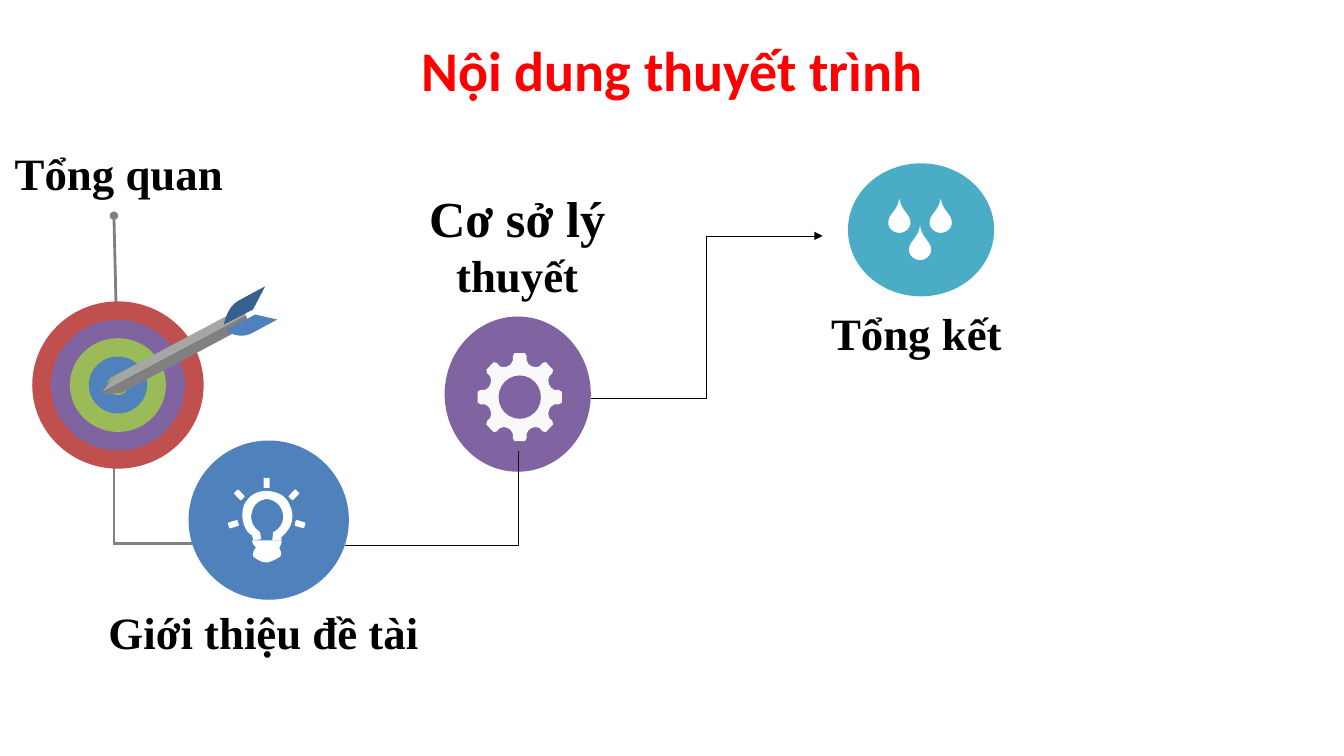
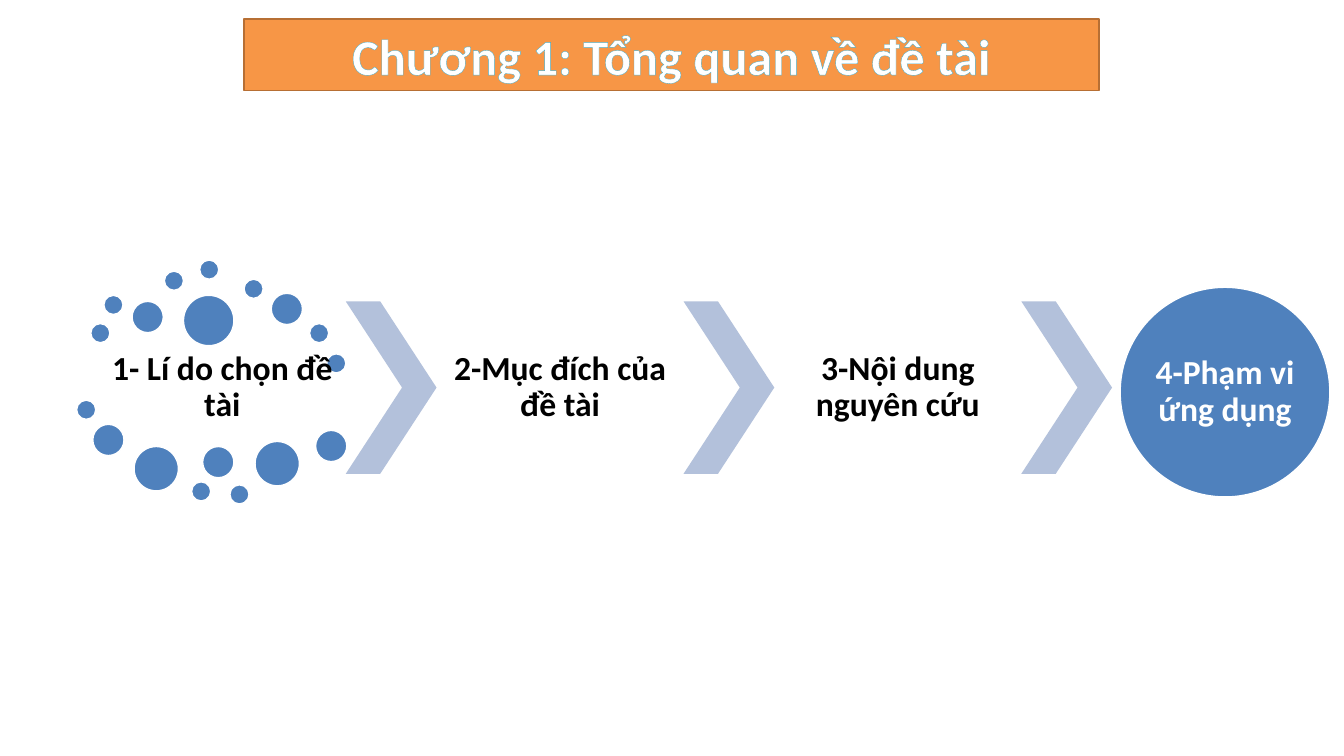
from math import cos, sin, radians

from lxml.etree import SubElement
from pptx import Presentation
from pptx.dml.color import RGBColor
from pptx.enum.shapes import MSO_CONNECTOR as Link, MSO_SHAPE as Form
from pptx.enum.text import MSO_ANCHOR as Anchor, MSO_AUTO_SIZE as Fit, PP_ALIGN as Align
from pptx.oxml.ns import qn
from pptx.util import Inches, Pt

COLORS = {
    "red": "FF0000", "black": "000000", "white": "FFFFFF", "pale": "F9F9FA",
    "brick": "C0504D", "plum": "8064A2", "green": "9BBB59", "blue": "4F81BD",
    "navy": "376092", "teal": "4BACC6", "orange": "F79646", "rust": "B76F34",
    "mist": "B3C1DB", "gray": "808080", "silver": "A6A6A6",
    "slate": "515D5D", "steel": "828286", "ink": "0D0D0D",
}
SERIF, SANS = "Times New Roman", "Calibri"


def rgb(name):
    return RGBColor.from_string(COLORS[name])


def place(box):
    return [Inches(v) for v in box]


def cell(box, grid, part):
    """Turn a part in grid units into inches within the box."""
    x, y, w, h = box
    dx, dy = w / grid[0], h / grid[1]
    return x + part[0] * dx, y + part[1] * dy, part[2] * dx, part[3] * dy


def paint(shape, fill, line=None):
    shape.shadow.inherit = False
    shape.fill.solid()
    shape.fill.fore_color.rgb = rgb(fill)
    if line:
        shape.line.color.rgb = rgb(line)
        shape.line.width = Pt(1)
    else:
        shape.line.fill.background()
    return shape


def draw(slide, form, box, fill, line=None):
    return paint(slide.shapes.add_shape(form, *place(box)), fill, line)


def trace(slide, box, grid, path, fill):
    """Draw a closed outline; a step holds one point or three Bézier points."""
    pts = [path[0]]
    for step in path[1:]:
        if len(step) == 2:
            pts.append(step)
            continue
        a, b, c, d = pts[-1], step[:2], step[2:4], step[4:]
        for i in range(1, 9):
            t = i / 8
            u = 1 - t
            pts.append([u**3 * a[k] + 3 * u * u * t * b[k]
                        + 3 * u * t * t * c[k] + t**3 * d[k] for k in (0, 1)])
    pts = [place(cell(box, grid, (*p, 0, 0))[:2]) for p in pts]
    pen = slide.shapes.build_freeform(*pts[0])
    pen.add_line_segments(pts[1:], close=True)
    paint(pen.convert_to_shape(), fill)


def write(shape, parts, font, color, align=Align.CENTER, space=1.0,
          inset=(0.1, 0.05), anchor=Anchor.TOP, wrap=True):
    """Fill a shape with one bold paragraph of (text, size) runs."""
    frame = shape.text_frame
    frame.word_wrap, frame.auto_size = wrap, Fit.NONE
    frame.vertical_anchor = anchor
    frame.margin_left = frame.margin_right = Inches(inset[0])
    frame.margin_top = frame.margin_bottom = Inches(inset[1])
    para = frame.paragraphs[0]
    para.alignment, para.line_spacing = align, space
    para.font.name, para.font.bold = font, True
    para.font.size = Pt(parts[0][1])
    para.font.color.rgb = rgb(color)
    for text, size in parts:
        run = para.add_run()
        run.text = text
        if size != parts[0][1]:
            run.font.size = Pt(size)
    return para


def label(slide, box, *parts, font=SERIF, color="black", **style):
    write(slide.shapes.add_textbox(*place(box)), parts, font, color, **style)


def title(slide, box, text, size, color, **style):
    head = slide.shapes.title
    head.left, head.top, head.width, head.height = place(box)
    para = write(head, [(text, size)], SANS, color, anchor=Anchor.MIDDLE, **style)
    return head, para


def link(slide, start, end, color, width, kind=Link.STRAIGHT, preset=None,
         head=None, tail=None):
    wire = slide.shapes.add_connector(kind, *place(start + end))
    wire.line.color.rgb = rgb(color)
    wire.line.width = Pt(width)
    props = wire._element.spPr
    if preset:
        props.find(qn("a:prstGeom")).set("prst", preset)
    for tag, tip in (("a:headEnd", head), ("a:tailEnd", tail)):
        if tip:
            SubElement(props.find(qn("a:ln")), qn(tag), type=tip)
    SubElement(props, qn("a:effectLst"))


def target(slide, box):
    grid = (170, 166)
    x, y, w, h = box
    for i, fill in enumerate(("brick", "plum", "green", "blue", "green")):
        share = 1 - 0.22 * i
        inner = x + w * (1 - share) / 2, y + h * (1 - share) / 2, w * share, h * share
        draw(slide, Form.OVAL, inner, fill)
    for shift, light, dark in ((0.01, "slate", "steel"), (0, "silver", "gray")):
        shaft = x - shift, y + shift, w, h
        trace(slide, shaft, grid, [(83, 73), (209, 6), (212, 14), (69, 90)], light)
        trace(slide, shaft, grid, [(89, 90), (215, 23), (212, 14), (69, 91)], dark)
    trace(slide, box, grid, [(190, 23), (190, 23, 193, 5, 205, -1),
                             (231, -15), (219, 8)], "navy")
    trace(slide, box, grid, [(192, 29), (192, 29, 204, 38, 217, 32),
                             (243, 18), (221, 13)], "blue")


def bulb(slide, box):
    grid = (159, 158)
    draw(slide, Form.OVAL, box, "blue")
    trace(slide, box, grid, [
        (64, 99), (64, 97, 63, 95, 63, 94), (57, 92, 50, 78, 55, 64),
        (60, 54, 68, 50, 78, 50), (90, 51, 95, 55, 99, 61),
        (110, 81, 96, 92, 92, 96), (92, 99), (83, 99), (84, 91),
        (90, 88, 94, 82, 94, 75), (93, 64, 85, 59, 78, 58),
        (68, 59, 63, 65, 62, 76), (63, 86, 68, 88, 71, 91), (72, 98)], "white")
    trace(slide, box, grid, [
        (63, 99), (92, 99), (93, 102, 91, 104, 90, 107),
        (91, 109, 93, 112, 91, 115), (87, 118, 82, 120, 78, 121),
        (73, 121, 69, 119, 64, 115), (64, 112, 64, 109, 67, 106),
        (65, 104, 64, 104, 63, 99)], "white")
    for dx, y, turn in ((-33, 83, -107), (-27, 54, -44), (0, 42, 0),
                        (27, 54, 44), (33, 83, 107)):
        ray = cell(box, grid, (74.5 + dx, y - 5, 6, 10))
        draw(slide, Form.ROUNDED_RECTANGLE, ray, "white").rotation = turn


def gear(slide, box):
    grid = (145, 154)
    draw(slide, Form.OVAL, box, "plum")
    tooth = ((-22.5, 0.75), (-16, 0.77), (-11, 0.84), (-10, 0.94), (-7, 1),
             (7, 1), (10, 0.94), (11, 0.84), (16, 0.77))
    rim = []
    for turn in range(0, 360, 45):
        for step, r in tooth:
            a = radians(turn + step)
            rim.append((74.5 + 42 * r * cos(a), 80 + 44 * r * sin(a)))
    trace(slide, box, grid, rim, "pale")
    draw(slide, Form.OVAL, cell(box, grid, (53.5, 58.5, 42, 43)), "plum")


def drops(slide, box):
    grid = (145, 132)
    draw(slide, Form.OVAL, box, "teal")
    for x, y in ((51, 35), (92, 35), (71.5, 62)):
        trace(slide, box, grid, [
            (x, y), (x - 2, y + 13, x - 11, y + 15, x - 11, y + 24),
            (x - 11, y + 29, x - 6, y + 34, x, y + 34),
            (x + 6, y + 34, x + 11, y + 29, x + 11, y + 24),
            (x + 11, y + 15, x + 2, y + 13, x, y)], "white")


def agenda(slide):
    title(slide, (3.95, 0.37, 5.43, 0.71), "Nội dung thuyết trình", 40, "red",
          space=0.9, wrap=False)
    link(slide, (1.12, 5.39), (2.89, 5.39), "gray", 2)
    link(slide, (1.13, 2.14), (1.17, 3.82), "gray", 2, head="oval")
    link(slide, (1.13, 3.93), (1.13, 5.39), "gray", 2)
    label(slide, (0.03, 1.4, 2.28, 0.64), ("Tổng quan", 32),
          align=Align.RIGHT, wrap=False)
    label(slide, (0.85, 5.89, 3.53, 0.68), ("Giới thiệu đề tài", 32),
          space=1.1, inset=(0.12, 0.06))
    label(slide, (3.9, 1.81, 2.46, 1.25), ("Cơ sở lý ", 36), ("thuyết", 32))
    label(slide, (7.86, 2.98, 2.46, 0.64), ("Tổng kết", 32))
    target(slide, (0.32, 2.99, 1.7, 1.66))
    bulb(slide, (1.87, 4.37, 1.59, 1.58))
    gear(slide, (4.41, 3.14, 1.45, 1.54))
    drops(slide, (8.41, 1.62, 1.45, 1.32))
    link(slide, (3.42, 5.41), (5.14, 4.47), "ink", 0.5, Link.ELBOW, "bentConnector2")
    link(slide, (5.86, 3.95), (8.16, 2.34), "black", 0.5, Link.ELBOW, tail="triangle")


def cloud(slide, box):
    grid = (268, 242)
    dots = {
        19: ((14, 63), (27, 35), (87, 11), (122, 0), (166, 19), (231, 63),
             (248, 93), (0, 139), (114, 220), (152, 223)),
        31: ((55, 41), (193, 33), (16, 163), (125, 185), (237, 169)),
        44: ((57, 185), (177, 180)),
        50: ((106, 35),),
    }
    for size, spots in dots.items():
        for spot in spots:
            draw(slide, Form.OVAL, cell(box, grid, (*spot, size, size)), "blue", "white")


def chapter(slide):
    head, para = title(slide, (2.42, 0.19, 8.48, 0.71),
                       "Chương 1: Tổng quan về đề tài", 36, "white")
    paint(head, "orange", "rust")
    props = para.runs[0].font._element
    edge = SubElement(props, qn("a:ln"), w=str(Pt(0.8)))
    props.insert(0, edge)
    fill = SubElement(edge, qn("a:solidFill"))
    SubElement(fill, qn("a:srgbClr"), val=COLORS["teal"])

    style = dict(font=SANS, space=0.9, anchor=Anchor.MIDDLE)
    left, top, tip, room, high = 3.43, 2.99, 0.9, 2.45, 1.71
    cloud(slide, (0.76, 2.58, 2.68, 2.42))
    steps = ("1- Lí do chọn đề tài", "2-Mục đích của đề tài", "3-Nội dung nguyên cứu")
    for i, text in enumerate(steps):
        x = left + i * (tip + room)
        mark = draw(slide, Form.CHEVRON, (x, top, tip, high), "mist")
        mark.adjustments[0] = 0.62
        label(slide, (x - room, top, room, high), (text, 24), inset=(0.03, 0.03), **style)
    last = draw(slide, Form.OVAL, (11.11, 2.85, 2.08, 2.08), "blue", "white")
    write(last, [("4-Phạm vi ứng dụng", 24)], color="white", inset=(0, 0), **style)


def main():
    deck = Presentation()
    deck.slide_width, deck.slide_height = Inches(13.33), Inches(7.5)
    for build in (agenda, chapter):
        build(deck.slides.add_slide(deck.slide_layouts[5]))
    deck.save("out.pptx")


if __name__ == "__main__":
    main()
